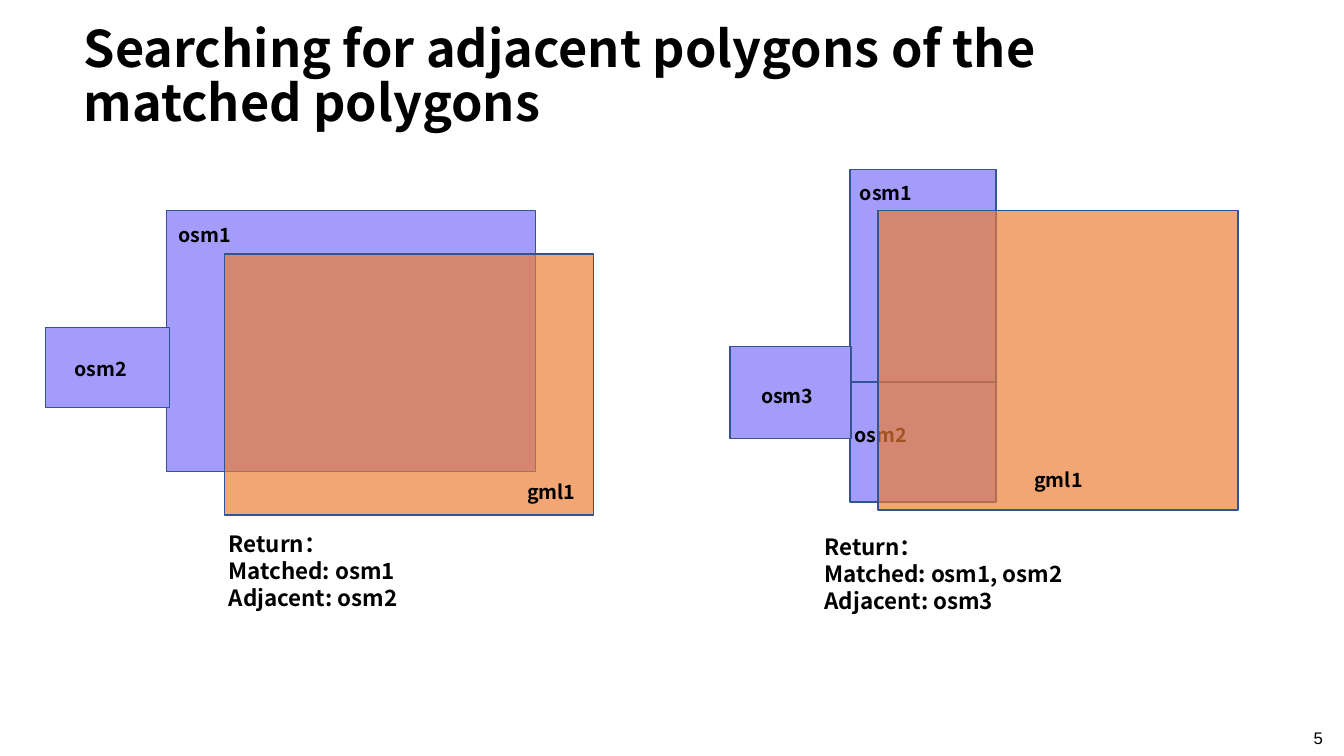
import pptx
import pptx.util
import pptx.dml.color
import pptx.enum.shapes
import pptx.enum.text
import pptx.oxml
import pptx.oxml.ns
from pptx.util import Inches

HEADING_FONT = "Noto Sans CJK SC"
OSM_FILL = "A39CFB"
GML_FILL = "ED7D31"
OUTLINE = "325491"
ALIGN = pptx.enum.text.PP_ALIGN
ANCHOR = pptx.enum.text.MSO_ANCHOR


def rgb(hex_value):
    return pptx.dml.color.RGBColor.from_string(hex_value)


def place(shape, box):
    for side, length in zip(("left", "top", "width", "height"), box):
        setattr(shape, side, Inches(length))


def write(frame, lines, size, face=HEADING_FONT, bold=True, **paragraph_format):
    frame.word_wrap = True
    frame.text = "\n".join(lines)
    for paragraph in frame.paragraphs:
        for name, value in {"alignment": ALIGN.LEFT, **paragraph_format}.items():
            setattr(paragraph, name, value)
        for run in paragraph.runs:
            font = run.font
            for name, value in {"size": pptx.util.Pt(size), "bold": bold, "name": face}.items():
                setattr(font, name, value)
            font.color.rgb = rgb("000000")
            east_asian = pptx.oxml.parse_xml(
                f'<a:ea {pptx.oxml.ns.nsdecls("a")} typeface="{face}"/>')
            run._r.rPr.find(pptx.oxml.ns.qn("a:latin")).addnext(east_asian)


def add_title(slide, text, box):
    title = slide.shapes.title
    place(title, box)
    write(title.text_frame, [text], 36, line_spacing=0.9)
    title.text_frame.vertical_anchor = ANCHOR.MIDDLE
    title.text_frame.auto_size = pptx.enum.text.MSO_AUTO_SIZE.NONE


def add_polygon(slide, box, fill, opacity=100):
    polygon = slide.shapes.add_shape(
        pptx.enum.shapes.MSO_SHAPE.RECTANGLE, *map(Inches, box))
    polygon.shadow.inherit = False
    polygon.fill.solid()
    polygon.fill.fore_color.rgb = rgb(fill)
    polygon.line.color.rgb = rgb(OUTLINE)
    polygon.line.width = pptx.util.Pt(1)
    if opacity < 100:
        color = polygon.fill._xPr.find(".//" + pptx.oxml.ns.qn("a:srgbClr"))
        color.append(pptx.oxml.parse_xml(
            f'<a:alpha {pptx.oxml.ns.nsdecls("a")} val="{opacity * 1000}"/>'))


def add_osm(slide, *box):
    add_polygon(slide, box, OSM_FILL)


def add_gml(slide, *box):
    add_polygon(slide, box, GML_FILL, opacity=68)


def add_text(slide, box, lines, size, **text_format):
    frame = slide.shapes.add_textbox(*map(Inches, box)).text_frame
    write(frame, lines, size, **text_format)
    return frame


def add_label(slide, name, left, top):
    add_text(slide, (left, top, 1.34, 0.34), [name], 14)


def add_result(slide, box, matched, adjacent):
    add_text(slide, box, ["Return：", f"Matched: {matched}", f"Adjacent: {adjacent}"], 16)


def add_page_number(slide, number):
    frame = add_text(slide, (10.88, 7.17, 2.24, 0.3), [number], 12,
                     face="Arial", bold=False, alignment=ALIGN.RIGHT)
    frame.margin_left = frame.margin_right = 0
    frame.vertical_anchor = ANCHOR.MIDDLE


def draw_single_match(slide):
    add_osm(slide, 1.65, 2.09, 3.66, 2.59)
    add_gml(slide, 2.23, 2.52, 3.66, 2.59)
    add_label(slide, "gml1", 5.13, 4.71)
    add_label(slide, "osm1", 1.67, 2.16)
    add_osm(slide, 0.45, 3.25, 1.23, 0.79)
    add_label(slide, "osm2", 0.64, 3.49)
    add_result(slide, (2.17, 5.21, 2.52, 0.91), "osm1", "osm2")


def draw_double_match(slide):
    """The osm2 label lies under the translucent gml1 polygon."""
    add_osm(slide, 8.43, 3.74, 1.45, 1.24)
    add_label(slide, "osm2", 8.38, 4.15)
    add_osm(slide, 8.43, 1.68, 1.45, 2.11)
    add_gml(slide, 8.71, 2.09, 3.57, 2.97)
    add_label(slide, "gml1", 10.16, 4.59)
    add_label(slide, "osm1", 8.43, 1.75)
    add_osm(slide, 7.24, 3.44, 1.2, 0.91)
    add_label(slide, "osm3", 7.45, 3.76)
    add_result(slide, (8.08, 5.24, 3.67, 0.91), "osm1, osm2", "osm3")


def main():
    deck = pptx.Presentation()
    deck.slide_width, deck.slide_height = Inches(13.33), Inches(7.5)
    slide = deck.slides.add_slide(deck.slide_layouts.get_by_name("Title Only"))
    add_title(slide, "Searching for adjacent polygons of the matched polygons",
              (0.73, 0.05, 10.62, 1.45))
    draw_single_match(slide)
    draw_double_match(slide)
    add_page_number(slide, "5")
    deck.save("out.pptx")


if __name__ == "__main__":
    main()
